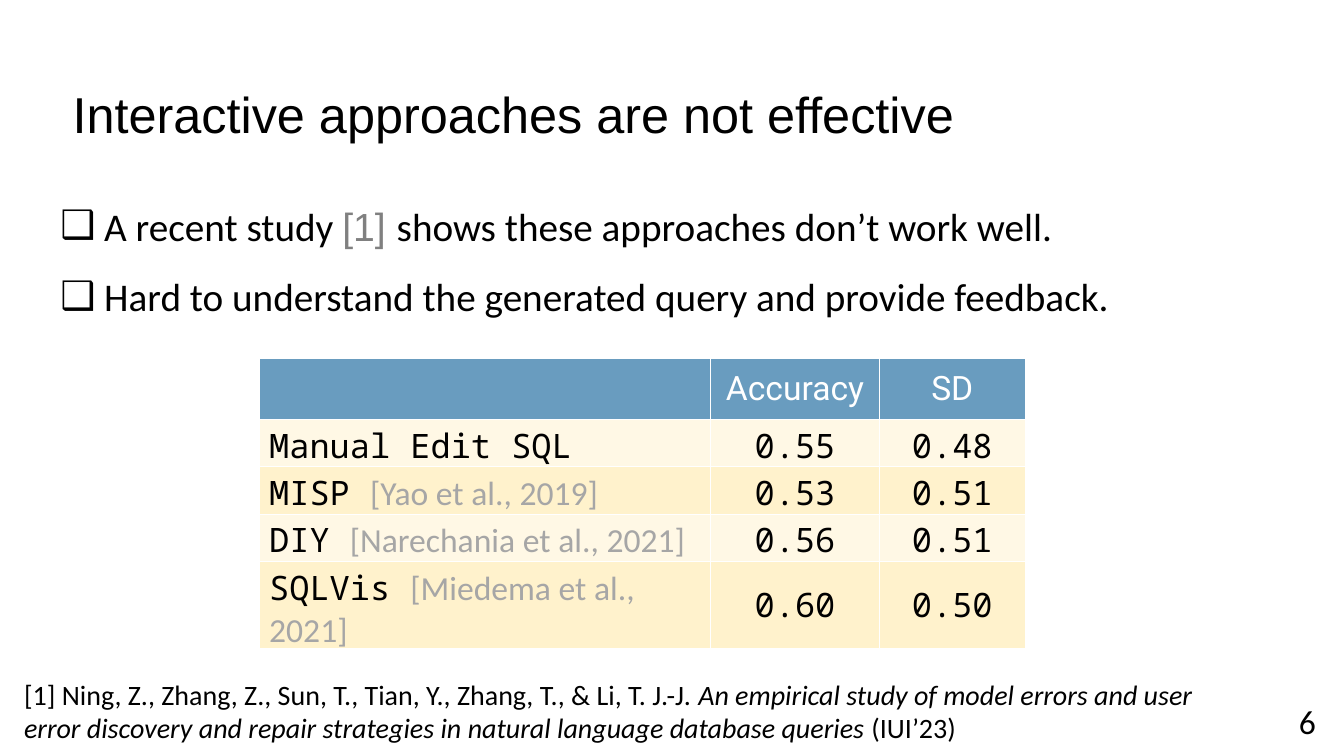
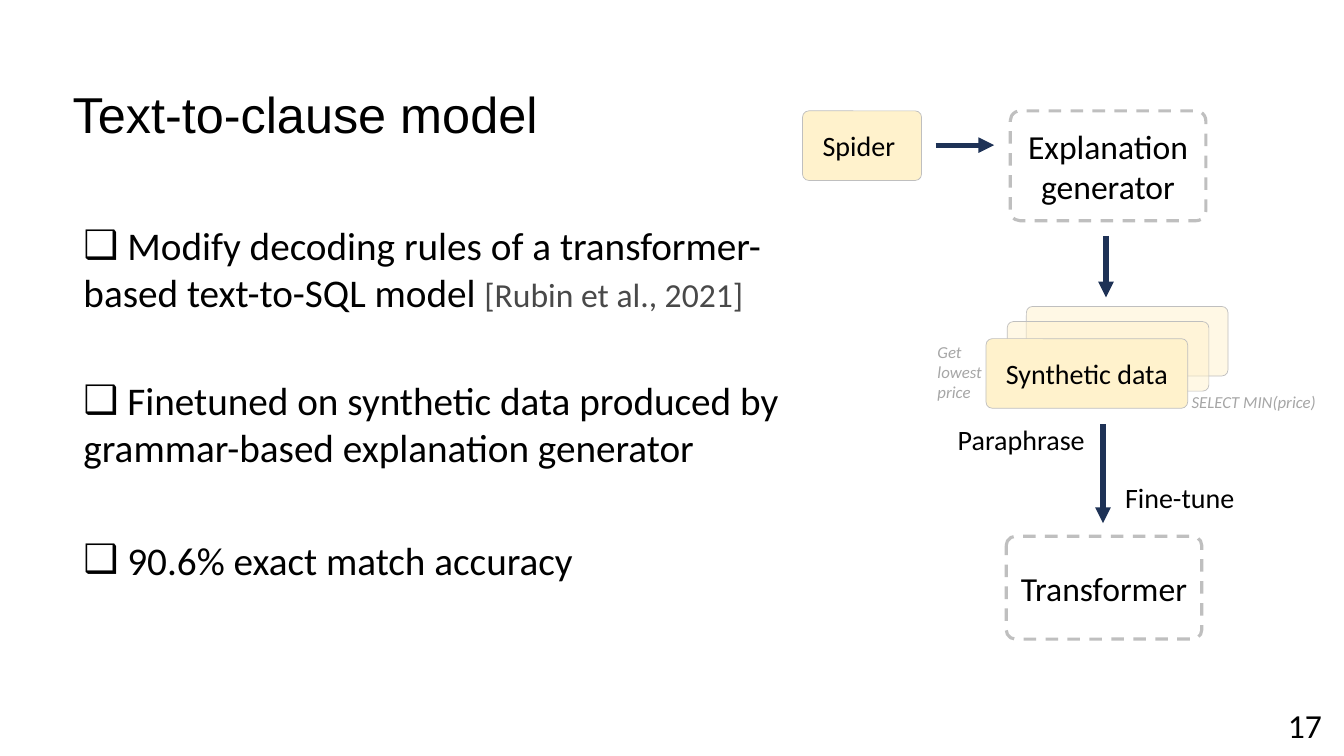
from lxml import etree
from pptx import Presentation
from pptx.dml.color import RGBColor
from pptx.enum.dml import MSO_LINE
from pptx.enum.shapes import MSO_CONNECTOR, MSO_SHAPE
from pptx.enum.text import MSO_ANCHOR, MSO_AUTO_SIZE, PP_ALIGN
from pptx.oxml.ns import qn
from pptx.util import Inches, Pt

LEFT, CENTER, RIGHT = PP_ALIGN.LEFT, PP_ALIGN.CENTER, PP_ALIGN.RIGHT
TOP, MIDDLE = MSO_ANCHOR.TOP, MSO_ANCHOR.MIDDLE
ROUND_RECT, STRAIGHT = MSO_SHAPE.ROUNDED_RECTANGLE, MSO_CONNECTOR.STRAIGHT
DASH, NO_AUTOFIT = MSO_LINE.DASH, MSO_AUTO_SIZE.NONE

BLACK = RGBColor(0x00, 0x00, 0x00)
WHITE = RGBColor(0xFF, 0xFF, 0xFF)
GRAY = RGBColor(0x80, 0x80, 0x80)
DARK_GRAY = RGBColor(0x49, 0x49, 0x49)
CITE_GRAY = RGBColor(0xA6, 0xA6, 0xA6)
BORDER = RGBColor(0xBF, 0xBF, 0xBF)
BLUE = RGBColor(0x69, 0x9C, 0xBF)
NAVY = RGBColor(0x1E, 0x32, 0x56)
CREAM = RGBColor(0xFF, 0xF2, 0xCC)


def style(size, name="Calibri", color=BLACK, italic=False):
    return {"size": Pt(size), "name": name, "color": color, "italic": italic}


TITLE = style(36, "Arial")
BODY = style(28)
LABEL = style(24)
SMALL = style(20)
NOTE = style(12, color=CITE_GRAY, italic=True)
HEADER = style(24, "Roboto", WHITE)
MONO = style(24, "Noto Sans Mono")
CITE = style(24, color=CITE_GRAY)

STUDY_BULLETS = [
    [(" A recent study ", BODY), ("[1] ", style(28, "Arial", GRAY)),
     ("shows these approaches don’t work well.", BODY)],
    [(" Hard to understand the generated query and provide feedback.", BODY)],
]
STUDY_HEADER = ["", "Accuracy", "SD"]
STUDY_ROWS = [
    ("Manual Edit SQL", "", "0.55", "0.48"),
    ("MISP ", "[Yao et al., 2019]", "0.53", "0.51"),
    ("DIY ", "[Narechania et al., 2021]", "0.56", "0.51"),
    ("SQLVis ", "[Miedema et al., 2021]", "0.60", "0.50"),
]
COL_WIDTHS = [4.48, 1.67, 1.45]
HEADER_HEIGHT, ROW_HEIGHT = 0.6, 0.47
REFERENCE = [
    ("[1] Ning, Z., Zhang, Z., Sun, T., Tian, Y., Zhang, T., & Li, T. J.-J. ", SMALL),
    ("An empirical study of model errors and user error discovery and repair "
     "strategies in natural language database queries ", style(20, italic=True)),
    ("(IUI’23)", SMALL),
]

MODEL_BULLETS = [
    [(" Modify decoding rules of a transformer-based text-to-SQL model ", BODY),
     ("[Rubin et al., 2021]", style(24, color=DARK_GRAY))],
    [(" Finetuned on synthetic data produced by grammar-based explanation generator", BODY)],
    [(" 90.6% exact match accuracy", BODY)],
]
MODEL_GAPS = [0, 43, 47]
MODULES = [
    ("Explanation generator", (10.02, 1.1, 1.94, 1.09)),
    ("Transformer", (9.98, 5.32, 1.94, 1.02)),
]
DATA_CARDS = [
    ("", (10.18, 3.04, 2, 0.69), 50),
    ("", (9.99, 3.19, 2, 0.69), 50),
    ("Synthetic data", (9.78, 3.36, 2, 0.69), 100),
    ("Spider ", (7.96, 1.1, 1.18, 0.69), 100),
]
ARROWS = [
    (9.28, 1.44, 9.86, 1.44),
    (10.97, 2.34, 10.97, 2.95),
    (10.94, 4.21, 10.94, 5.19),
]
DIAGRAM_LABELS = [
    ("Paraphrase", (9.4, 4.14, 1.48, 0.44), SMALL, False),
    ("Fine-tune", (11.06, 4.72, 1.3, 0.44), SMALL, False),
    ("Get lowest price", (9.2, 3.34, 0.74, 0.71), NOTE, True),
    ("SELECT MIN(price)", (11.72, 3.84, 1.62, 0.3), NOTE, True),
]


def inches(values):
    return [Inches(v) for v in values]


def fill_solid(fill, element, color, opacity=100):
    fill.solid()
    fill.fore_color.rgb = color
    if opacity < 100:
        clr = element.find(qn("a:solidFill")).find(qn("a:srgbClr"))
        etree.SubElement(clr, qn("a:alpha"), val=str(opacity * 1000))


def write_runs(p, runs, align=LEFT):
    p.alignment = align
    for text, fmt in runs:
        r = p.add_run()
        r.text = text
        for key, value in fmt.items():
            if key == "color":
                r.font.color.rgb = value
            else:
                setattr(r.font, key, value)


def add_bullet(p):
    pPr = p._p.get_or_add_pPr()
    pPr.set("marL", "0")
    pPr.set("indent", "0")
    etree.SubElement(pPr, qn("a:buFont"), typeface="Arial")
    etree.SubElement(pPr, qn("a:buChar"), char="❑")


def add_text(s, box, runs, align=LEFT, anchor=TOP, wrap=True):
    tf = s.shapes.add_textbox(*inches(box)).text_frame
    tf.word_wrap = wrap
    tf.vertical_anchor = anchor
    write_runs(tf.paragraphs[0], runs, align)


def add_bullets(s, box, items, spacing=1.0, gaps=None):
    tf = s.shapes.add_textbox(*inches(box)).text_frame
    tf.word_wrap = True
    for i, runs in enumerate(items):
        p = tf.add_paragraph() if i else tf.paragraphs[0]
        add_bullet(p)
        p.line_spacing = spacing
        if gaps:
            p.space_before = Pt(gaps[i])
        write_runs(p, runs)


def add_box(s, box, text, fmt, color, line_width, opacity=100, dash=None):
    sp = s.shapes.add_shape(ROUND_RECT, *inches(box))
    sp.shadow.inherit = False
    sp.adjustments[0] = 0.09
    fill_solid(sp.fill, sp._element.spPr, color, opacity)
    sp.line.color.rgb = BORDER
    sp.line.width = Pt(line_width)
    if dash:
        sp.line.dash_style = dash
    if text:
        tf = sp.text_frame
        tf.word_wrap = True
        tf.vertical_anchor = MIDDLE
        write_runs(tf.paragraphs[0], [(text, fmt)], CENTER)


def add_arrow(s, ends):
    cxn = s.shapes.add_connector(STRAIGHT, *inches(ends))
    cxn.line.color.rgb = NAVY
    cxn.line.width = Pt(3.75)
    etree.SubElement(cxn.line._get_or_add_ln(), qn("a:tailEnd"), type="triangle")
    etree.SubElement(cxn._element.spPr, qn("a:effectLst"))


def format_cell(cell, runs, align, color, opacity):
    cell.vertical_anchor = MIDDLE
    cell.margin_left = cell.margin_right = Inches(0.1)
    cell.margin_top = cell.margin_bottom = Inches(0.03)
    write_runs(cell.text_frame.paragraphs[0], runs, align)
    tcPr = cell._tc.get_or_add_tcPr()
    fill_solid(cell.fill, tcPr, color, opacity)
    for i, side in enumerate(("lnL", "lnR", "lnT", "lnB")):
        ln = etree.Element(qn("a:" + side), w=str(Pt(0.75)))
        solid = etree.SubElement(ln, qn("a:solidFill"))
        etree.SubElement(solid, qn("a:srgbClr"), val=str(WHITE))
        tcPr.insert(i, ln)


def add_study_table(s, left, top):
    n_rows = len(STUDY_ROWS) + 1
    height = HEADER_HEIGHT + ROW_HEIGHT * len(STUDY_ROWS)
    box = inches((left, top, sum(COL_WIDTHS), height))
    table = s.shapes.add_table(n_rows, len(COL_WIDTHS), *box).table
    table.first_row = table.horz_banding = False
    for col, width in zip(table.columns, COL_WIDTHS):
        col.width = Inches(width)
    for i, row in enumerate(table.rows):
        row.height = Inches(ROW_HEIGHT if i else HEADER_HEIGHT)
    for j, text in enumerate(STUDY_HEADER):
        format_cell(table.cell(0, j), [(text, HEADER)] if text else [], CENTER, BLUE, 100)
    for i, (method, cite, *values) in enumerate(STUDY_ROWS, 1):
        opacity = 50 if i % 2 else 100
        runs = [(method, MONO)] + ([(cite, CITE)] if cite else [])
        format_cell(table.cell(i, 0), runs, LEFT, CREAM, opacity)
        for j, value in enumerate(values, 1):
            format_cell(table.cell(i, j), [(value, MONO)], CENTER, CREAM, opacity)


def new_slide(prs, title, number, number_box):
    s = prs.slides.add_slide(prs.slide_layouts[5])
    sp = s.shapes.title
    sp.left, sp.top, sp.width, sp.height = inches((0.62, 0.44, 11.5, 1.45))
    tf = sp.text_frame
    tf.auto_size = NO_AUTOFIT
    tf.vertical_anchor = MIDDLE
    tf.paragraphs[0].line_spacing = 0.9
    write_runs(tf.paragraphs[0], [(title, TITLE)])
    add_text(s, number_box, [(number, LABEL)], RIGHT, MIDDLE)
    return s


def build_study(prs):
    s = new_slide(prs, "Interactive approaches are not effective", "6",
                  (10.15, 6.95, 3, 0.4))
    add_bullets(s, (0.5, 1.72, 12.33, 1.44), STUDY_BULLETS, spacing=1.5)
    add_study_table(s, 2.57, 3.56)
    add_text(s, (0.14, 6.67, 12.41, 0.77), REFERENCE)


def build_model(prs):
    s = new_slide(prs, "Text-to-clause model", "17", (10.21, 6.99, 3, 0.4))
    add_bullets(s, (0.73, 2.15, 7.83, 3.73), MODEL_BULLETS, gaps=MODEL_GAPS)
    for text, box in MODULES:
        add_box(s, box, text, LABEL, WHITE, 2.25, dash=DASH)
    for ends in ARROWS:
        add_arrow(s, ends)
    for text, box, opacity in DATA_CARDS:
        add_box(s, box, text, SMALL, CREAM, 0.5, opacity)
    for text, box, fmt, wrap in DIAGRAM_LABELS:
        add_text(s, box, [(text, fmt)], wrap=wrap)


def main():
    prs = Presentation()
    prs.slide_width, prs.slide_height = Inches(13.33), Inches(7.5)
    build_study(prs)
    build_model(prs)
    prs.save("out.pptx")


if __name__ == "__main__":
    main()
